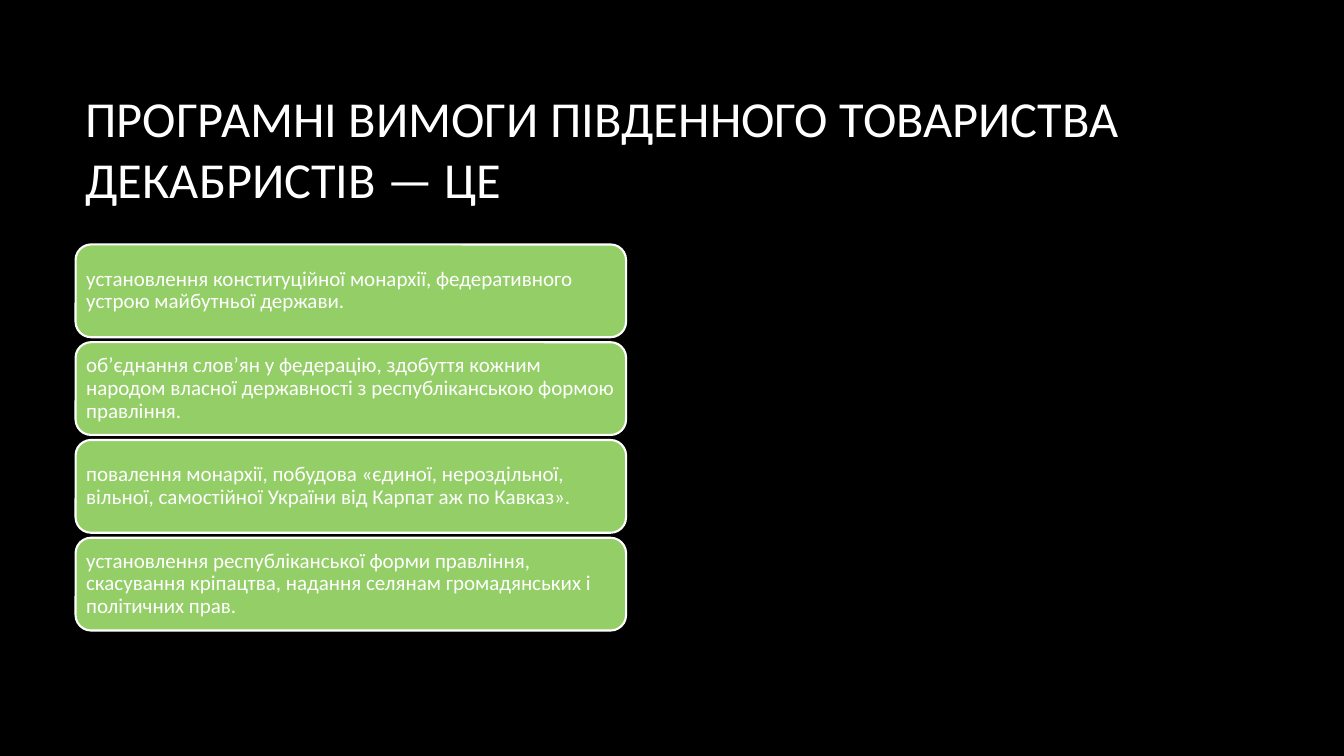
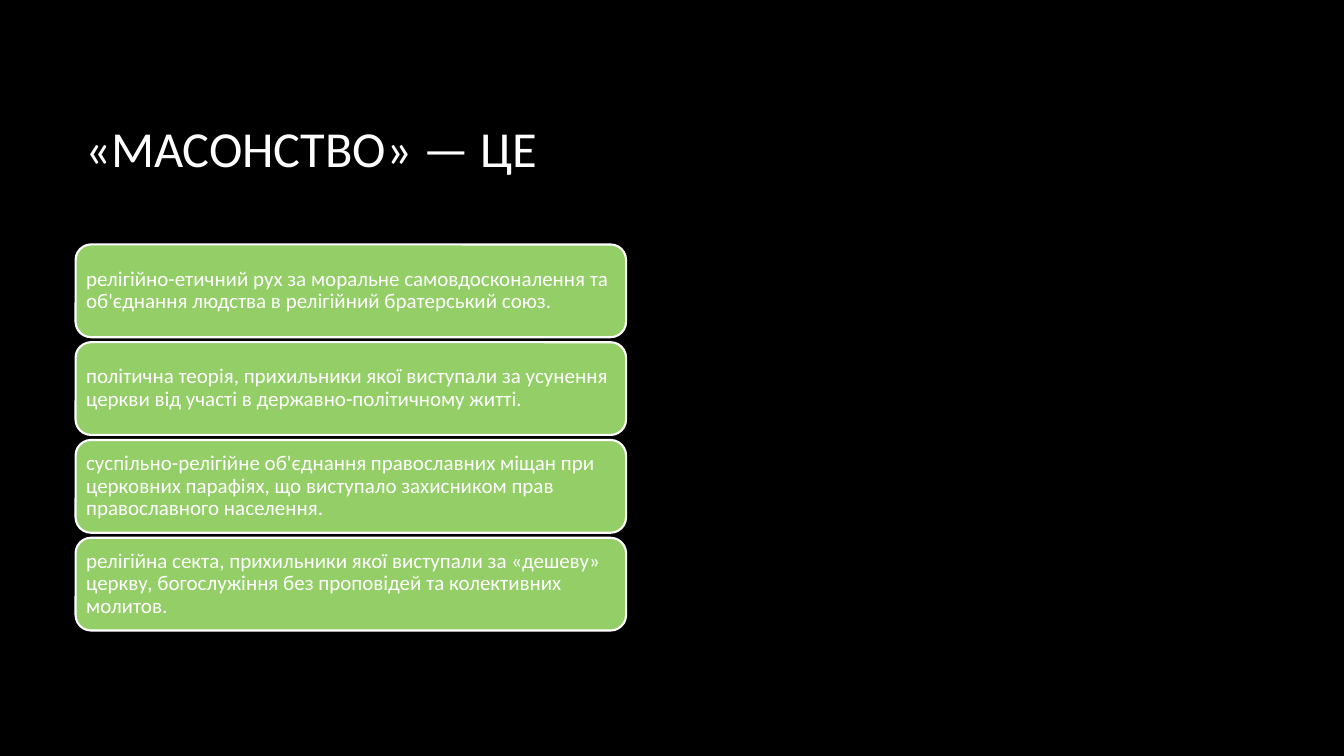
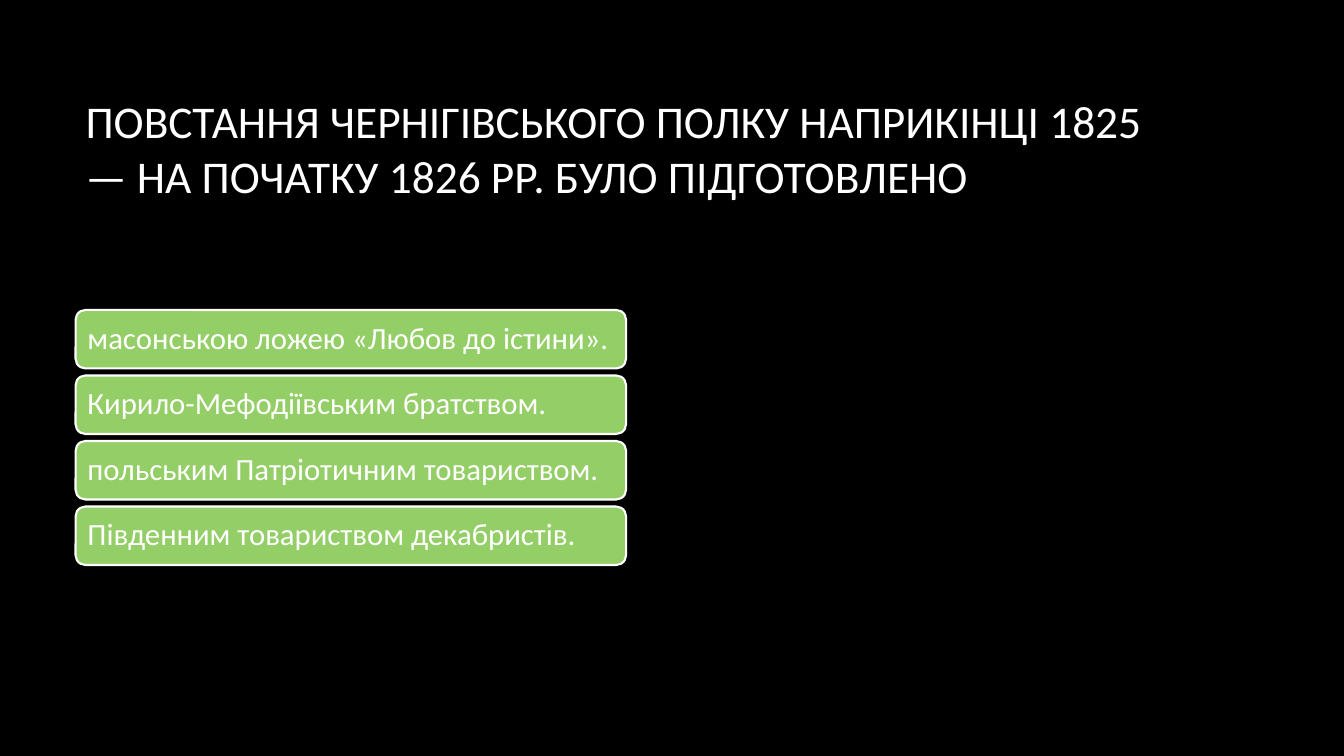
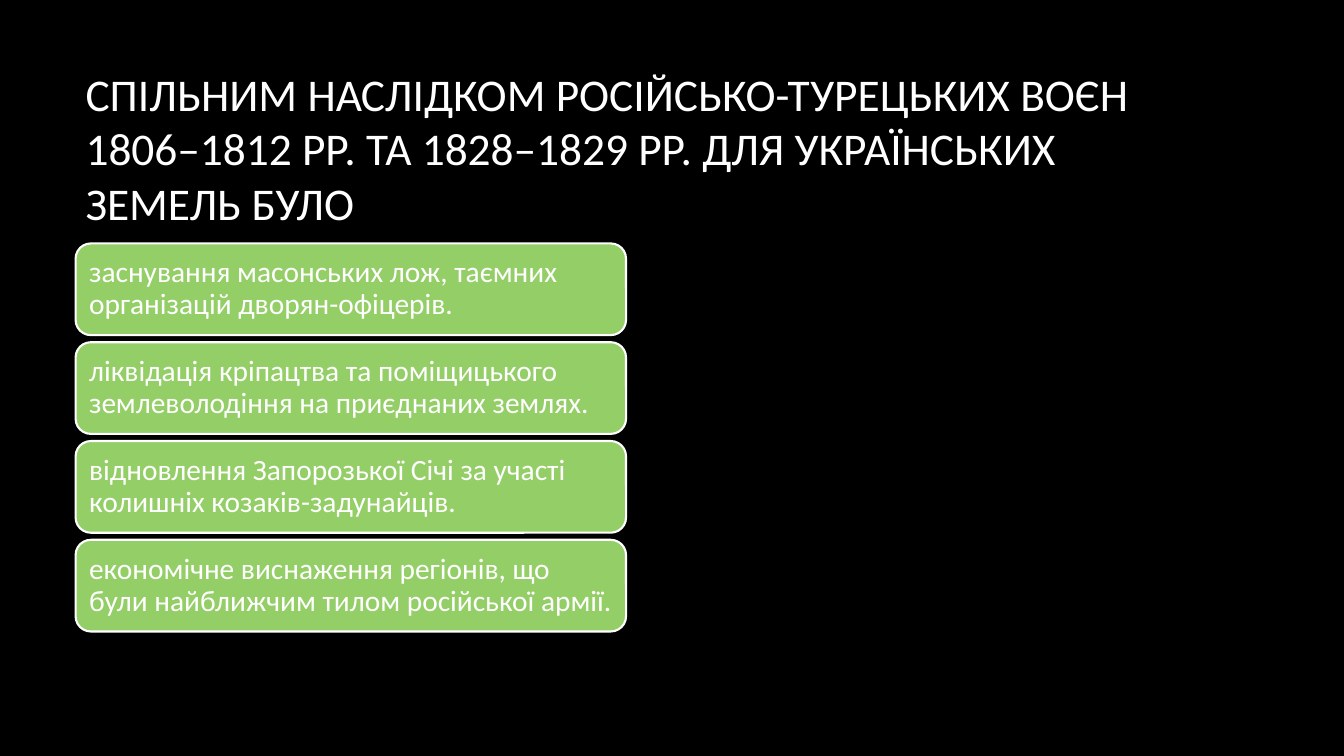
from pptx import Presentation
from pptx import util as u
from pptx.dml.color import RGBColor
from pptx.enum import shapes, text

QUESTIONS = [
    dict(title="ПРОГРАМНІ ВИМОГИ ПІВДЕННОГО ТОВАРИСТВА ДЕКАБРИСТІВ — ЦЕ",
         title_size=36, size=15, height=0.92, gap=0.05, padding=0.06,
         answers=[
             "установлення конституційної монархії, федеративного устрою майбутньої держави.",
             "об’єднання слов’ян у федерацію, здобуття кожним народом власної державності "
             "з республіканською формою правління.",
             "повалення монархії, побудова «єдиної, нероздільної, вільної, самостійної "
             "України від Карпат аж по Кавказ».",
             "установлення республіканської форми правління, скасування кріпацтва, "
             "надання селянам громадянських і політичних прав.",
         ]),
    dict(title="«МАСОНСТВО» — ЦЕ",
         title_size=36, size=15, height=0.92, gap=0.05, padding=0.06,
         answers=[
             "релігійно-етичний рух за моральне самовдосконалення та об'єднання людства "
             "в релігійний братерський союз.",
             "політична теорія, прихильники якої виступали за усунення церкви від участі "
             "в державно-політичному житті.",
             "суспільно-релігійне об'єднання православних міщан при церковних парафіях, "
             "що виступало захисником прав православного населення.",
             "релігійна секта, прихильники якої виступали за «дешеву» церкву, "
             "богослужіння без проповідей та колективних молитов.",
         ]),
    dict(title="ПОВСТАННЯ ЧЕРНІГІВСЬКОГО ПОЛКУ НАПРИКІНЦІ 1825 — НА ПОЧАТКУ 1826 РР. "
               "БУЛО ПІДГОТОВЛЕНО",
         title_size=32.4, size=22, height=0.58, gap=0.07, padding=0.09,
         answers=[
             "масонською ложею «Любов до істини».",
             "Кирило-Мефодіївським братством.",
             "польським Патріотичним товариством.",
             "Південним товариством декабристів.",
         ]),
    dict(title="СПІЛЬНИМ НАСЛІДКОМ РОСІЙСЬКО-ТУРЕЦЬКИХ ВОЄН 1806–1812 РР. "
               "ТА 1828–1829 РР. ДЛЯ УКРАЇНСЬКИХ ЗЕМЕЛЬ БУЛО",
         title_size=32.4, size=21, height=0.91, gap=0.07, padding=0.09,
         answers=[
             "заснування масонських лож, таємних організацій дворян-офіцерів.",
             "ліквідація кріпацтва та поміщицького землеволодіння на приєднаних землях.",
             "відновлення Запорозької Січі за участі колишніх козаків-задунайців.",
             "економічне виснаження регіонів, що були найближчим тилом російської армії.",
         ]),
]


def color(value):
    return RGBColor.from_string(value)


class Quiz:
    """Holds the shared style and the current slide."""
    FONT = "Calibri"
    BACKGROUND, INK, CARD = "000000", "FFFFFF", "94CE67"
    LEFT = 0.75
    STACK_MIDDLE = 4.34

    def __init__(self):
        self.deck = Presentation()
        self.deck.slide_width = u.Inches(13.33)
        self.deck.slide_height = u.Inches(7.5)
        fill = self.deck.slide_master.background.fill
        fill.solid()
        fill.fore_color.rgb = color(self.BACKGROUND)
        self.page = None

    def add_page(self):
        self.page = self.deck.slides.add_slide(self.deck.slide_layouts[6])

    def set_text(self, box, words, size, spacing=None):
        frame = box.text_frame
        frame.word_wrap = True
        frame.vertical_anchor = text.MSO_ANCHOR.MIDDLE
        para = frame.paragraphs[0]
        para.alignment = text.PP_ALIGN.LEFT
        para.line_spacing = spacing
        span = para.add_run()
        span.text = words
        span.font.name = self.FONT
        span.font.size = u.Pt(size)
        span.font.color.rgb = color(self.INK)

    def title(self, words, size):
        box = self.page.shapes.add_textbox(
            u.Inches(self.LEFT), u.Inches(0.67), u.Inches(11.08), u.Inches(1.59))
        self.set_text(box, words, size)

    def card(self, words, top, height, size, padding):
        box = self.page.shapes.add_shape(
            shapes.MSO_SHAPE.ROUNDED_RECTANGLE,
            u.Inches(self.LEFT), u.Inches(top), u.Inches(5.46), u.Inches(height))
        box.shadow.inherit = False
        box.fill.solid()
        box.fill.fore_color.rgb = color(self.CARD)
        box.line.color.rgb = color(self.INK)
        box.line.width = u.Pt(1.5)
        frame = box.text_frame
        frame.margin_left = frame.margin_right = u.Inches(padding)
        frame.margin_top = frame.margin_bottom = u.Inches(padding)
        self.set_text(box, words, size, spacing=0.9)

    def card_stack(self, answers, height, gap, size, padding):
        """Stacks equal cards, centred on one height of the slide."""
        pitch = height + gap
        first = self.STACK_MIDDLE - (len(answers) * pitch - gap) / 2
        for row, answer in enumerate(answers):
            self.card(answer, first + row * pitch, height, size, padding)


def main():
    quiz = Quiz()
    for question in QUESTIONS:
        quiz.add_page()
        quiz.title(question["title"], question["title_size"])
        quiz.card_stack(question["answers"], question["height"], question["gap"],
                        question["size"], question["padding"])
    quiz.deck.save("out.pptx")


if __name__ == "__main__":
    main()
